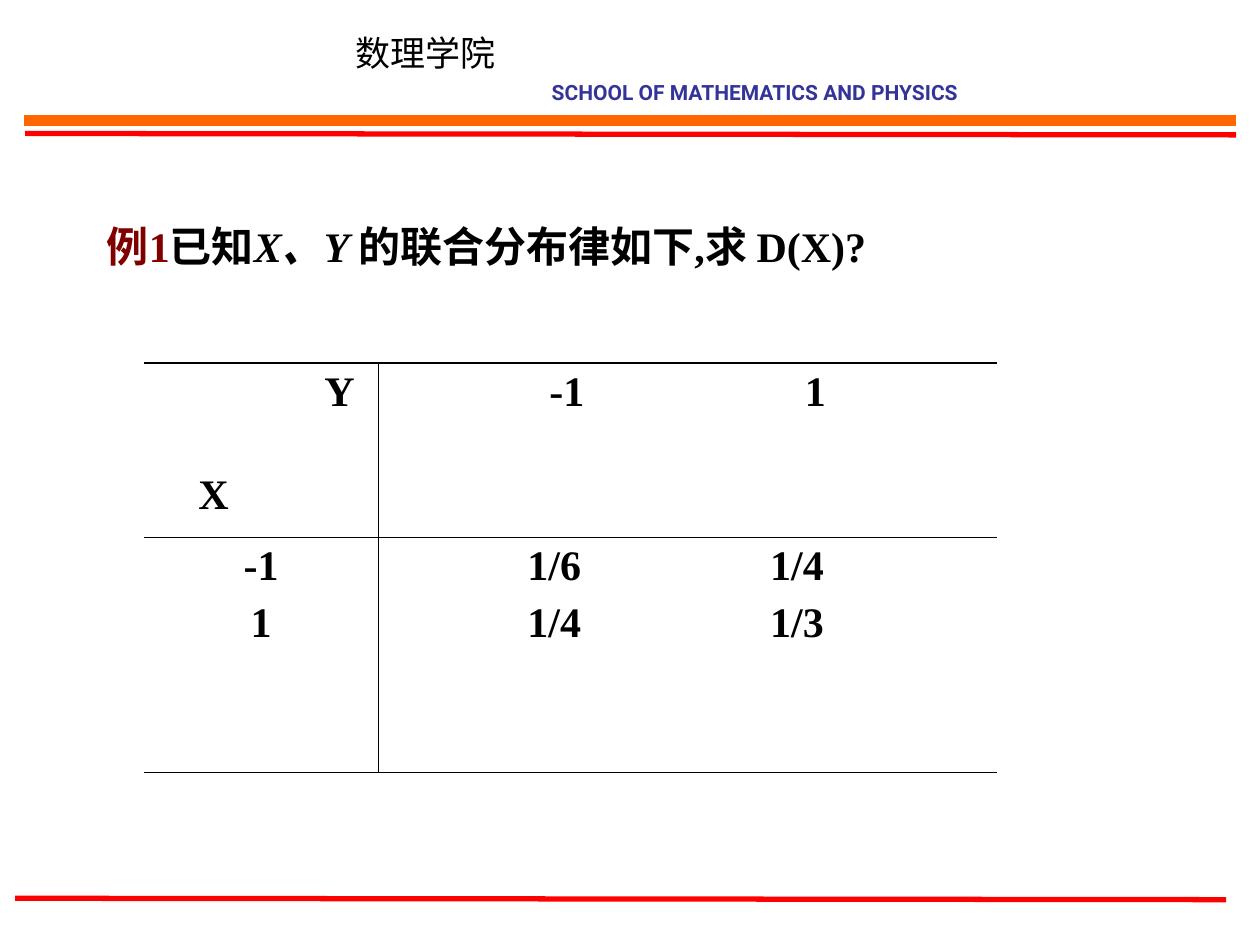
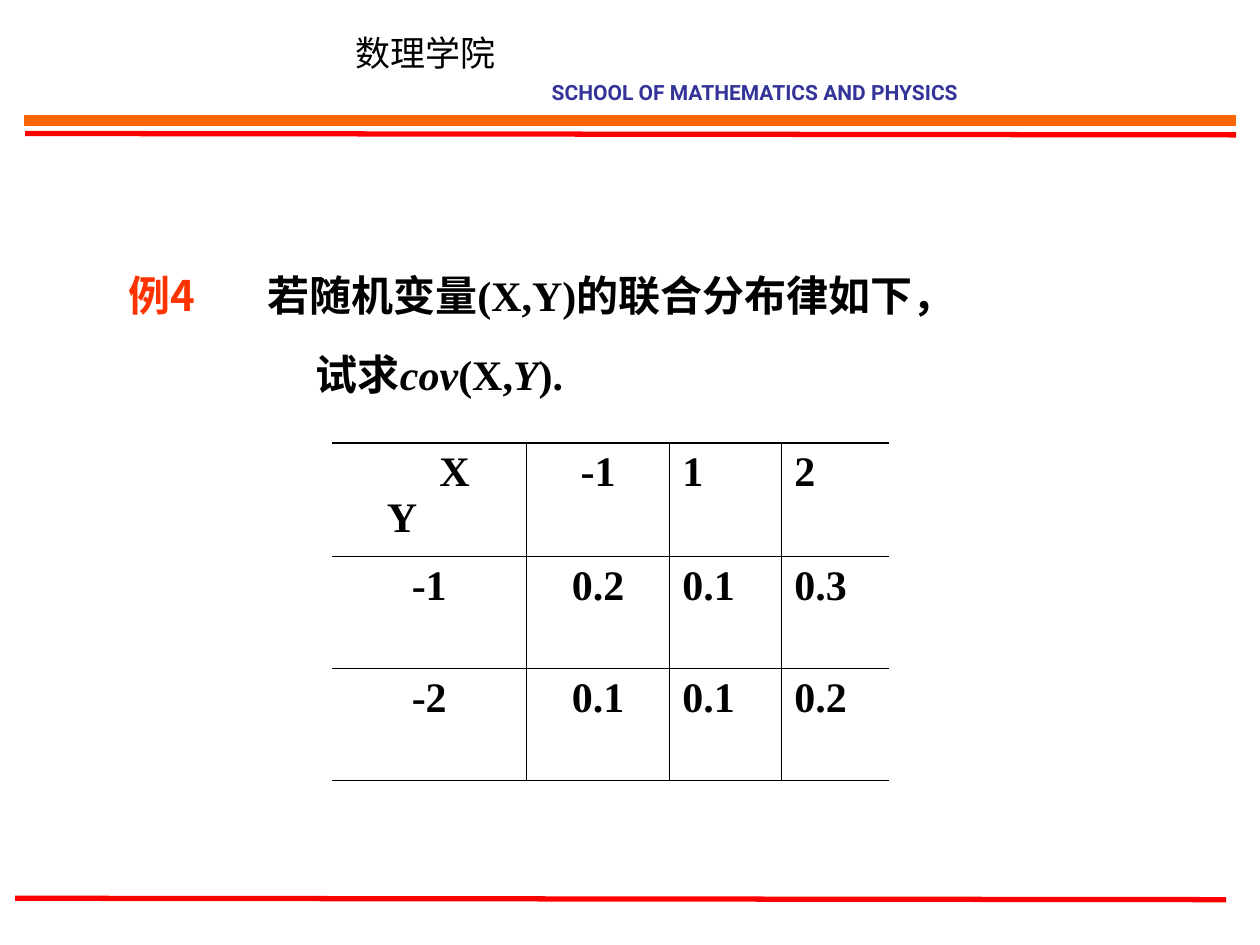
"""Two worked examples on joint distributions, under the school's header."""
from lxml import etree
from pptx import Presentation
from pptx.dml.color import RGBColor
from pptx.enum.shapes import MSO_CONNECTOR, MSO_SHAPE
from pptx.enum.text import MSO_ANCHOR, MSO_AUTO_SIZE, PP_ALIGN
from pptx.oxml.ns import qn
from pptx.util import Pt

LEFT, MID = PP_ALIGN.LEFT, PP_ALIGN.CENTER
TOP, HALF = MSO_ANCHOR.TOP, MSO_ANCHOR.MIDDLE
GROW = MSO_AUTO_SIZE.SHAPE_TO_FIT_TEXT
RECT, LINE = MSO_SHAPE.RECTANGLE, MSO_CONNECTOR.STRAIGHT

SERIF, HAN = "Times New Roman", "Noto Sans CJK SC"
THEME = {
    "rule": "FF0000",
    "band": "FF6600",
    "grid": "000000",
    "thin": 0.45,
    "thick": 1.08,
    "school": {"name": HAN, "size": 20, "color": "000000"},
    "latin": {"name": "Roboto", "size": 12, "bold": True, "color": "333399"},
    "body": {"name": SERIF, "size": 24, "bold": True, "color": "000000"},
}
SLANT = {"italic": True}


def write(frame, paras, look, align=LEFT, stops=(), gap=0):
    """Fill a frame with paragraphs, each a list of (text, changes) runs."""
    for i, runs in enumerate(paras):
        para = frame.add_paragraph() if i else frame.paragraphs[0]
        if stops:
            tabs = etree.SubElement(para._p.get_or_add_pPr(), qn("a:tabLst"))
            for stop in stops:
                etree.SubElement(tabs, qn("a:tab"), pos=str(int(Pt(stop))), algn="l")
        para.alignment = align
        if i:
            para.space_before = Pt(gap)
        for text, change in runs:
            run = para.add_run()
            run.text = text
            form = {**look, **change}
            run.font.color.rgb = RGBColor.from_string(form.pop("color"))
            form["size"] = Pt(form["size"])
            for key, value in form.items():
                setattr(run.font, key, value)
            face = HAN if form["name"] == SERIF else form["name"]
            etree.SubElement(run.font._element, qn("a:ea"), typeface=face)


def label(slide, place, paras, look, align=LEFT, stops=(), wrap=False, anchor=TOP):
    """Add a text box that grows with its text."""
    frame = slide.shapes.add_textbox(*map(Pt, place)).text_frame
    form = {"word_wrap": wrap, "auto_size": GROW, "vertical_anchor": anchor}
    for key, value in form.items():
        setattr(frame, key, value)
    write(frame, paras, look, align, stops)


deck = Presentation()
deck.slide_width, deck.slide_height = Pt(720), Pt(540)

heads = [
    [
        {
            "place": (54, 122.4, 466.6, 64.8), "wrap": True,
            "paras": [[("例1", {"color": "800000"}), ("已知", {}),
                       ("X、Y ", SLANT), ("的联合分布律如下,求 D(X)?", {})]],
        },
    ],
    [
        {
            "place": (66.2, 150.5, 498.2, 36), "anchor": HALF, "stops": (79.5,),
            "paras": [[("例4\t", {"name": HAN, "color": "FF3300"}),
                       ("若随机变量(X,Y)的联合分布律如下，", {})]],
        },
        {
            "place": (170.6, 195.8, 161.3, 36), "anchor": HALF, "align": MID,
            "paras": [[("试求", {}), ("cov", SLANT), ("(X,", {}),
                       ("Y", SLANT), (").", {})]],
        },
    ],
]

grids = [
    {
        "spot": (82.2, 207.5), "cols": (134, 353.5), "rows": (99.5, 134.5),
        "cells": [["\t\tY\n\tX", "\t-1\t1"],
                  ["-1\n1", "\t1/6\t1/4\n\t1/4\t1/3"]],
        "stops": {(0, 0): (24, 96), (0, 1): (90.5, 236.5), (1, 1): (78, 216.7)},
        "gaps": {(0, 0): 32}, "mids": {(1, 0)},
    },
    {
        "spot": (189.8, 253), "cols": (111, 82, 64, 61.5), "rows": (65, 64, 64),
        "cells": [["\t\tX\n\tY", "-1", "1", "2"],
                  ["-1", "0.2", "0.1", "0.3"],
                  ["-2", "0.1", "0.1", "0.2"]],
        "stops": {(0, 0): (24, 54)},
        "gaps": {(0, 0): 0}, "mids": {(0, 1), (1, 0), (1, 1), (2, 0), (2, 1)},
    },
]

for texts, grid in zip(heads, grids):
    slide = deck.slides.add_slide(deck.slide_layouts[6])

    for x, y in ((14.4, 76.3), (8.6, 513.3)):
        rule = slide.shapes.add_connector(LINE, Pt(x), Pt(y), Pt(x + 692), Pt(y + 0.8))
        rule.line.color.rgb = RGBColor.from_string(THEME["rule"])
        rule.line.width = Pt(3)
        etree.SubElement(rule._element.spPr, qn("a:effectLst"))

    band = slide.shapes.add_shape(RECT, Pt(14.2), Pt(65.8), Pt(692), Pt(5.8))
    band.shadow.inherit = False
    band.fill.solid()
    for part in (band.fill.fore_color, band.line.color):
        part.rgb = RGBColor.from_string(THEME["band"])
    band.line.width = Pt(0.5)

    label(slide, (195.8, 14.4, 94.3, 31.7), [[("数理学院", {})]], THEME["school"], MID)
    label(slide, (308.2, 41.8, 257, 21.6),
          [[("SCHOOL OF MATHEMATICS AND PHYSICS", {})]], THEME["latin"])
    for text in texts:
        label(slide, look=THEME["body"], **text)

    cols, rows = grid["cols"], grid["rows"]
    size = (*grid["spot"], sum(cols), sum(rows))
    table = slide.shapes.add_table(len(rows), len(cols), *map(Pt, size)).table
    table.first_row = table.horz_banding = False
    for col, width in zip(table.columns, cols):
        col.width = Pt(width)
    for row, height in zip(table.rows, rows):
        row.height = Pt(height)

    for r, line in enumerate(grid["cells"]):
        for c, text in enumerate(line):
            cell, key = table.cell(r, c), (r, c)
            paras = [[(part, {})] for part in text.split("\n")]
            write(cell.text_frame, paras, THEME["body"],
                  MID if key in grid["mids"] else LEFT,
                  grid["stops"].get(key, ()), grid["gaps"].get(key, 6))

            thin, thick = THEME["thin"], THEME["thick"]
            sides = {
                "L": thin if c else 0,
                "R": thin if c < len(cols) - 1 else 0,
                "T": thin if r else thick,
                "B": thin if r < len(rows) - 1 else thick,
            }
            props = cell._tc.get_or_add_tcPr()
            for side, width in sides.items():
                edge = etree.SubElement(props, qn(f"a:ln{side}"), w=str(int(Pt(width))))
                if width:
                    fill = etree.SubElement(edge, qn("a:solidFill"))
                    etree.SubElement(fill, qn("a:srgbClr"), val=THEME["grid"])
                else:
                    etree.SubElement(edge, qn("a:noFill"))
            cell.fill.background()

deck.save("out.pptx")
